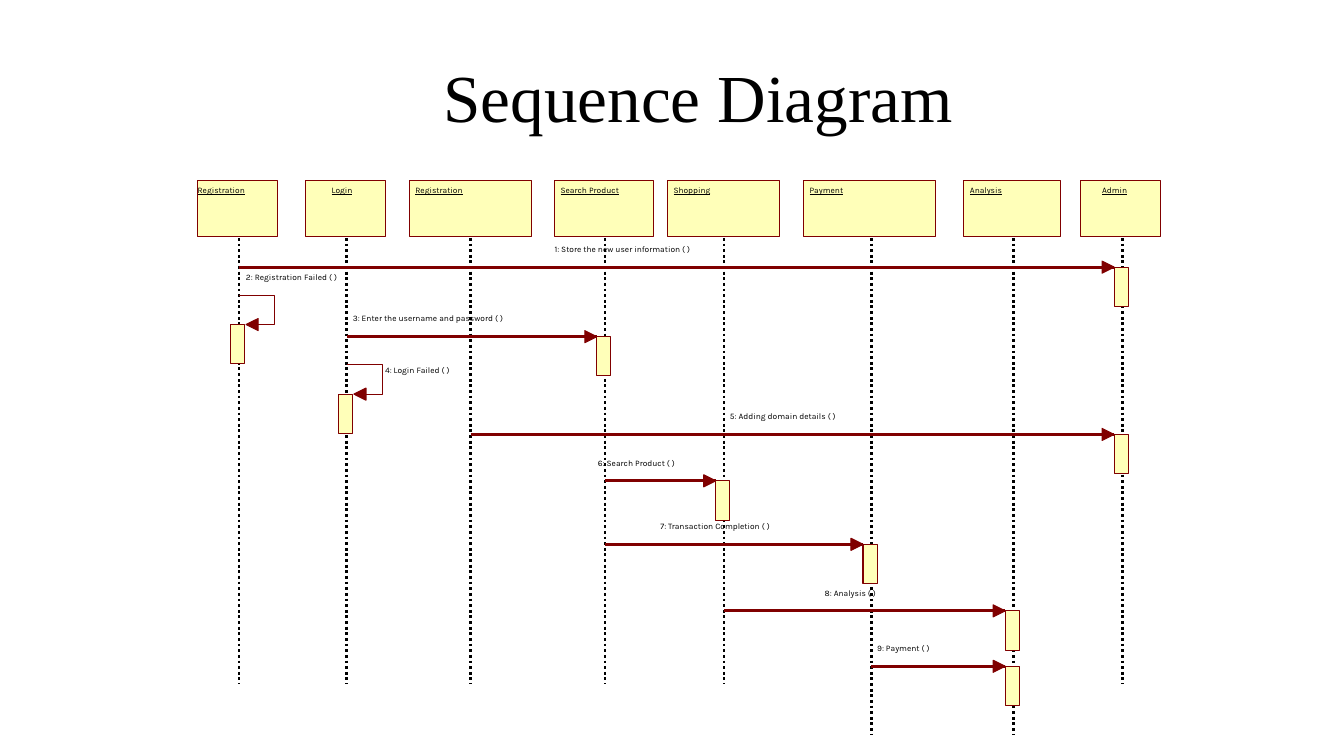
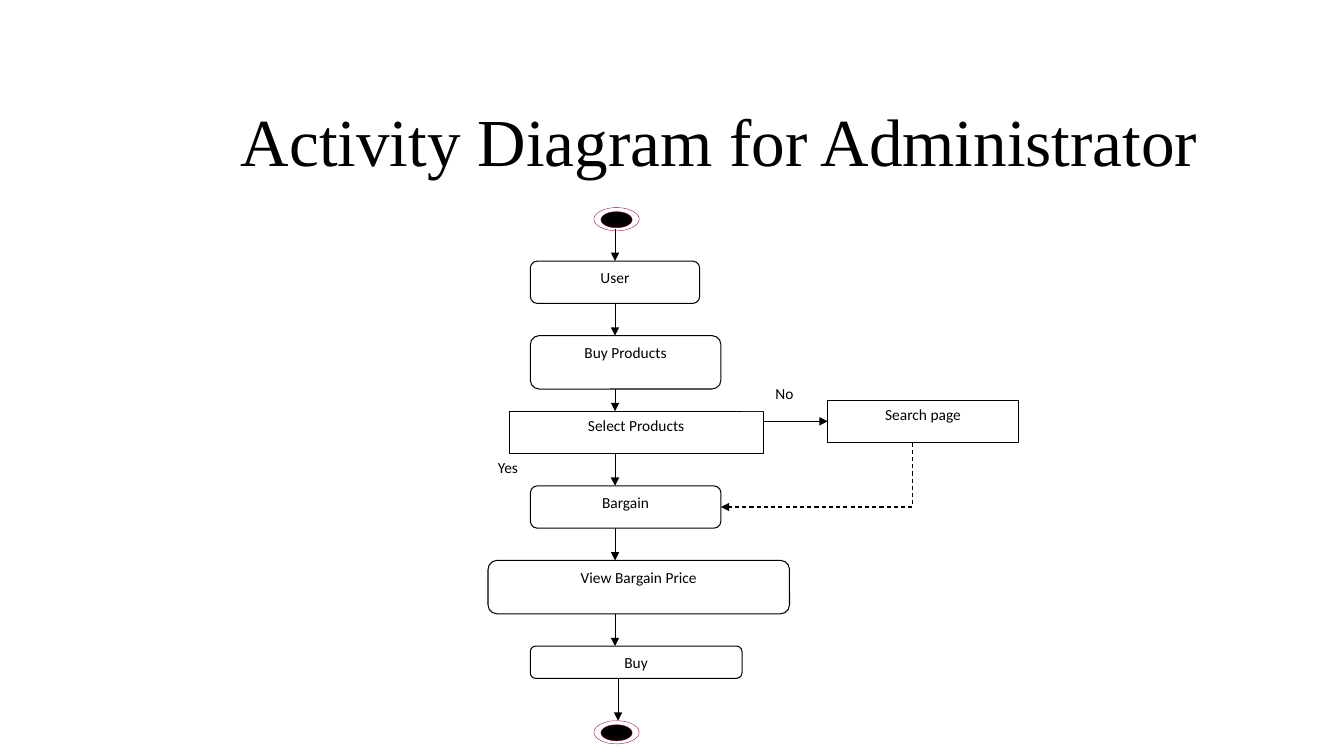
from dataclasses import dataclass
from lxml.etree import SubElement
from pptx import Presentation
from pptx.dml.color import RGBColor
from pptx.enum.dml import MSO_LINE
from pptx.enum.shapes import MSO_CONNECTOR, MSO_SHAPE
from pptx.enum.text import MSO_ANCHOR, PP_ALIGN
from pptx.oxml.ns import qn
from pptx.util import Inches, Pt


@dataclass
class Theme:
    ink = RGBColor(0, 0, 0)
    white = RGBColor(255, 255, 255)
    cream = RGBColor(255, 255, 185)
    wine = RGBColor(128, 0, 0)
    rose = RGBColor(153, 0, 51)
    title = {"name": "Times New Roman", "size": Pt(48)}
    label = {"name": "Karla", "size": Pt(6)}
    head = {**label, "underline": True}
    step = {"name": "Calibri", "size": Pt(11)}
    tight = {"margin_left": 0, "margin_right": 0, "margin_top": 0, "margin_bottom": 0}
    hair = Pt(0)
    thin = Pt(0.75)
    fine = Pt(0.25)


theme = Theme()
rect = MSO_SHAPE.RECTANGLE
oval = MSO_SHAPE.OVAL
box = MSO_SHAPE.FLOWCHART_ALTERNATE_PROCESS


def put(slide, at, kind=None, fill=None, line=None, width=theme.hair,
        text="", font=theme.step, align=PP_ALIGN.LEFT, frame={}, after=0):
    place = [Inches(n) for n in at]
    if kind is None:
        shape = slide.shapes.add_textbox(*place)
    else:
        shape = slide.shapes.add_shape(kind, *place)
        shape.shadow.inherit = False
        if fill is None:
            shape.fill.background()
        else:
            shape.fill.solid()
            shape.fill.fore_color.rgb = fill
        if line is None:
            shape.line.fill.background()
        else:
            shape.line.color.rgb = line
            shape.line.width = width
    if text:
        body = shape.text_frame
        for key, val in {"word_wrap": True, "vertical_anchor": MSO_ANCHOR.TOP, **frame}.items():
            setattr(body, key, val)
        para = body.paragraphs[0]
        para.alignment = align
        para.space_after = Pt(after)
        run = para.add_run()
        run.text = text
        for key, val in font.items():
            setattr(run.font, key, val)
        run.font.color.rgb = theme.ink


def wire(slide, start, end, color=theme.ink, width=theme.thin, dash=None, tip=False):
    ends = [Inches(n) for n in (*start, *end)]
    line = slide.shapes.add_connector(MSO_CONNECTOR.STRAIGHT, *ends)
    line.line.color.rgb = color
    line.line.width = width
    if dash:
        line.line.dash_style = dash
    if tip:
        SubElement(line.line._get_or_add_ln(), qn("a:tailEnd"), type="triangle")
    SubElement(line._element.spPr, qn("a:effectLst"))


deck = Presentation()
deck.slide_width = Inches(13.33)
deck.slide_height = Inches(7.5)
blank = deck.slide_layouts[6]
slides = []
for text, at in (
    ("Sequence Diagram", (4.3, 0.5, 6.71, 0.91)),
    ("Activity Diagram for Administrator", (2.29, 0.94, 10.2, 0.91)),
):
    slide = deck.slides.add_slide(blank)
    put(slide, at, text=text, font=theme.title)
    slides.append(slide)
chart, flow = slides

roles = (
    ("Registration", 1.96, 0.79, 0, 0.79, 2.37, 6.79),
    ("Login", 3.03, 0.79, 0.26, 0.5, 3.44, 6.79),
    ("Registration", 4.06, 1.21, 0.06, 0.77, 4.67, 6.79),
    ("Search Product", 5.5, 0.98, 0.06, 0.92, 6, 6.79),
    ("Shopping", 6.62, 1.11, 0.06, 0.65, 7.18, 6.79),
    ("Payment", 7.97, 1.31, 0.06, 0.53, 8.64, 7.29),
    ("Analysis", 9.56, 0.96, 0.06, 0.59, 10.05, 7.29),
    ("Admin", 10.72, 0.79, 0.21, 0.58, 11.13, 6.79),
)
lives = []
for name, left, wide, inset, room, mid, foot in roles:
    put(chart, (left, 1.79, wide, 0.56), rect, theme.cream, theme.wine)
    put(chart, (left + inset, 1.84, room, 0.35), text=name, font=theme.head,
        frame=theme.tight, after=10)
    wire(chart, (mid, 2.36), (mid, foot), width=theme.hair, dash=MSO_LINE.ROUND_DOT)
    lives.append(mid)

calls = (
    (0, 7, 2.65, "1: Store the new user information ( )", 5.5, 2.42, 2.68),
    (0, 0, 2.93, "2: Registration Failed ( )", 2.44, 2.7, 1.86),
    (1, 3, 3.34, "3: Enter the username and password ( )", 3.5, 3.11, 2.44),
    (1, 1, 3.62, "4: Login Failed ( )", 3.82, 3.62, 1.34),
    (2, 7, 4.31, "5: Adding domain details ( )", 7.24, 4.08, 2.04),
    (3, 4, 4.77, "6: Search Product ( )", 5.93, 4.54, 1.19),
    (3, 5, 5.4, "7: Transaction Completion ( )", 6.55, 5.17, 1.73),
    (4, 6, 6.06, "8: Analysis ( )", 8.18, 5.83, 1.18),
    (5, 6, 6.61, "9: Payment ( )", 8.7, 6.38, 1.05),
)
for first, last, top, text, left, high, wide in calls:
    start, goal = lives[first], lives[last]
    paths = []
    if first == last:
        end, tip, back = top + 0.29, goal + 0.07, 0.12
        turn = start + 0.35
        paths.append(([(start, top), (turn, top), (turn, end), (tip, end)], False))
    else:
        end, tip, back = top, goal - 0.08, -0.12
        wire(chart, (start, top), (tip, top), theme.wine, theme.hair)
    paths.append(([(tip + back, end + 0.06), (tip, end), (tip + back, end - 0.06)], True))
    for spots, solid in paths:
        spots = [(Inches(x), Inches(y)) for x, y in spots]
        pen = chart.shapes.build_freeform(*spots[0])
        pen.add_line_segments(spots[1:], close=solid)
        mark = pen.convert_to_shape()
        mark.shadow.inherit = False
        mark.line.color.rgb = theme.wine
        mark.line.width = theme.hair
        if solid:
            mark.fill.solid()
            mark.fill.fore_color.rgb = theme.wine
        else:
            mark.fill.background()
    put(chart, (left, high, wide, 0.35), text=text, font=theme.label,
        frame=theme.tight, after=10)
    put(chart, (goal - 0.08, end, 0.14, 0.39), rect, theme.cream, theme.wine)

steps = (
    ("Yes", rect, (4.84, 4.5, 0.84, 0.32), None, PP_ALIGN.LEFT),
    ("User", box, (5.26, 2.59, 1.68, 0.42), theme.ink, PP_ALIGN.CENTER),
    ("Buy Products", box, (5.26, 3.33, 1.89, 0.53), theme.ink, PP_ALIGN.CENTER),
    ("Select Products", rect, (5.05, 4.08, 2.52, 0.42), theme.ink, PP_ALIGN.CENTER),
    ("Bargain", box, (5.26, 4.82, 1.89, 0.42), theme.ink, PP_ALIGN.CENTER),
    ("View Bargain Price", box, (4.84, 5.56, 2.99, 0.53), theme.ink, PP_ALIGN.CENTER),
    ("Search page", rect, (8.21, 3.97, 1.89, 0.42), theme.ink, PP_ALIGN.CENTER),
    ("No", rect, (7.36, 3.76, 0.84, 0.32), None, PP_ALIGN.CENTER),
    ("Buy", box, (5.26, 6.41, 2.1, 0.32), theme.ink, PP_ALIGN.CENTER),
)
for text, kind, at, line, align in steps:
    put(flow, at, kind, theme.white, line, theme.thin, text, align=align)

for top in (2.06, 7.15):
    put(flow, (5.89, top, 0.45, 0.23), oval, None, theme.rose, theme.fine)
    put(flow, (5.96, top + 0.04, 0.31, 0.16), oval, theme.ink, theme.rose, theme.fine)

for mid, top, end in (
    (6.1, 2.27, 2.59), (6.1, 3.02, 3.33), (6.1, 3.86, 4.08), (6.1, 4.5, 4.82),
    (6.1, 5.24, 5.56), (6.1, 6.09, 6.41), (6.13, 6.73, 7.15),
):
    wire(flow, (mid, top), (mid, end), tip=True)
wire(flow, (7.57, 4.18), (8.21, 4.18), tip=True)
wire(flow, (9.05, 4.39), (9.05, 5.03), dash=MSO_LINE.DASH)
wire(flow, (9.05, 5.03), (7.15, 5.03), dash=MSO_LINE.DASH, tip=True)

deck.save("out.pptx")
